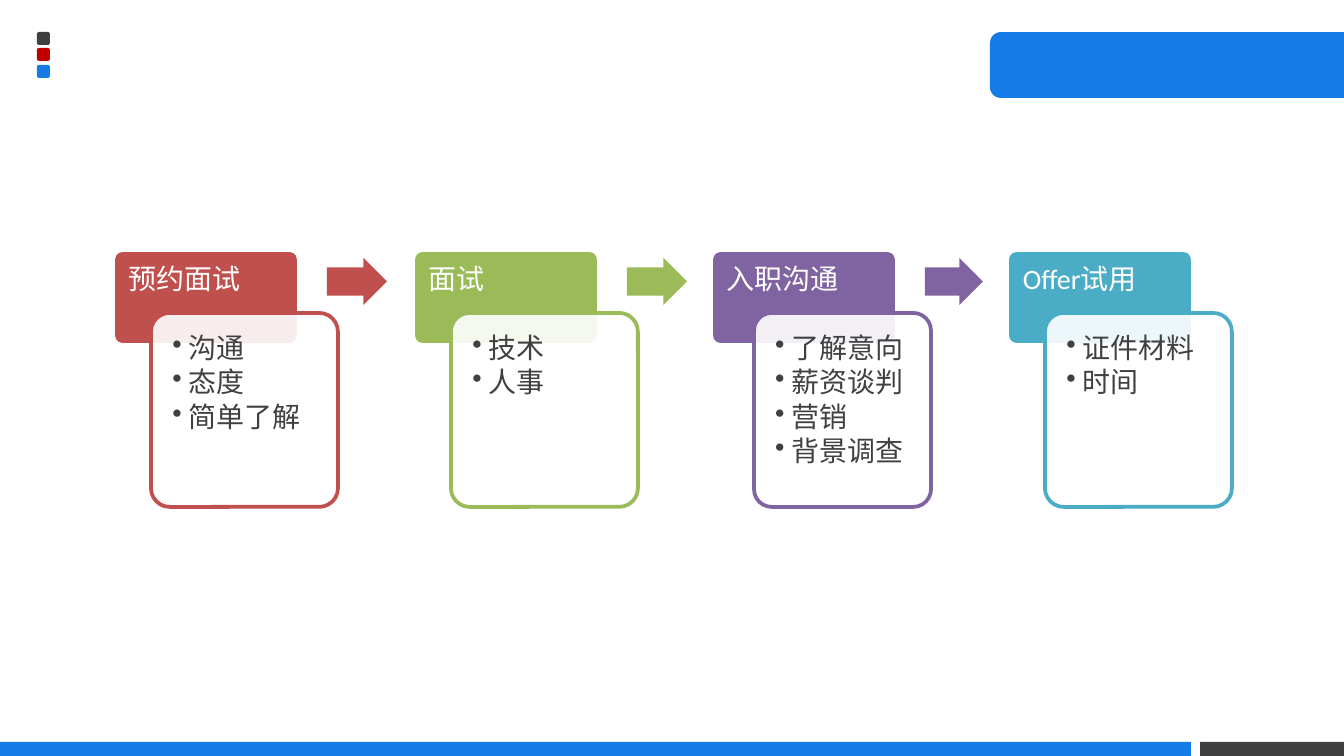
"""Build the recruiting process slide with four linked steps."""
import pptx
import pptx.dml.color
import pptx.enum.shapes
import pptx.enum.text
import pptx.oxml
import pptx.oxml.ns
import pptx.util

EMU_PER_PX = 914400 / 134.4
SHAPE = pptx.enum.shapes.MSO_SHAPE
BLUE, DARK, RED, WHITE = "157CE7", "404040", "C00000", "FFFFFF"
STEPS = [
    (113, 38, 187, 60, "C0504D", "预约面试", ["沟通", "态度", "简单了解"]),
    (413, 38, 187, 60, "9BBB59", "面试", ["技术", "人事"]),
    (711, 43, 177, 58, "8064A2", "入职沟通", ["了解意向", "薪资谈判", "营销", "背景调查"]),
    (1007, 38, 187, 0, "4BACC6", "Offer试用", ["证件材料", "时间"]),
]


def px(length):
    return pptx.util.Emu(round(length * EMU_PER_PX))


def paint(color_format, color):
    color_format.rgb = pptx.dml.color.RGBColor.from_string(color)


def add_block(slide, kind, box, fill, line=None, adjustments=()):
    block = slide.shapes.add_shape(kind, *map(px, box))
    block.shadow.inherit = False
    for index, value in enumerate(adjustments):
        block.adjustments[index] = value
    block.fill.solid()
    paint(block.fill.fore_color, fill)
    if line:
        paint(block.line.color, line)
        block.line.width = pptx.util.Pt(2)
    else:
        block.line.fill.background()
    return block


def write(block, lines, insets, color, space_after, bulleted=False):
    frame = block.text_frame
    frame.word_wrap = True
    frame.vertical_anchor = pptx.enum.text.MSO_ANCHOR.TOP
    frame.margin_left, frame.margin_top, frame.margin_right, frame.margin_bottom = map(px, insets)
    for index, line in enumerate(lines):
        paragraph = frame.paragraphs[0] if index == 0 else frame.add_paragraph()
        paragraph.text = line
        paragraph.alignment = pptx.enum.text.PP_ALIGN.LEFT
        paragraph.line_spacing = 0.9
        paragraph.space_after = pptx.util.Pt(space_after)
        if bulleted:
            add_bullet(paragraph)
        paragraph.font.name = "Calibri"
        paragraph.font.size = pptx.util.Pt(15)
        paint(paragraph.font.color, color)


def add_bullet(paragraph):
    paragraph.level = 1
    properties = paragraph._p.get_or_add_pPr()
    properties.set("marL", str(px(16)))
    properties.set("indent", str(-px(16)))
    bullet = pptx.oxml.parse_xml(f'<a:buChar {pptx.oxml.ns.nsdecls("a")} char="•"/>')
    properties.append(bullet)


def set_opacity(block, percent):
    color = block.fill._xPr.find(".//" + pptx.oxml.ns.qn("a:srgbClr"))
    alpha = pptx.oxml.parse_xml(f'<a:alpha {pptx.oxml.ns.nsdecls("a")} val="{percent * 1000}"/>')
    color.append(alpha)


def add_decoration(slide):
    tab = add_block(slide, SHAPE.ROUND_2_SAME_RECTANGLE, (1134, -112, 66, 354), BLUE)
    tab.rotation = 270
    for top, color in ((32, DARK), (48, RED), (65, BLUE)):
        add_block(slide, SHAPE.ROUNDED_RECTANGLE, (37, top, 13, 13), color, adjustments=[0.17])
    add_block(slide, SHAPE.RECTANGLE, (1200, 742, 144, 14), DARK)
    add_block(slide, SHAPE.RECTANGLE, (0, 742, 1191, 14), BLUE)


def add_step(slide, left, card_offset, card_width, arrow_width, color, heading, items):
    header = add_block(slide, SHAPE.ROUNDED_RECTANGLE, (left, 250, 186, 95), color, WHITE, [0.1])
    write(header, [heading], (13, 13, 13, 37), WHITE, 5.25)
    card = add_block(slide, SHAPE.ROUNDED_RECTANGLE,
                     (left + card_offset, 313, card_width, 194), WHITE, color, [0.1])
    set_opacity(card, 90)
    write(card, items, (16, 16, 16, 16), DARK, 2.25, bulleted=True)
    if arrow_width:
        add_block(slide, SHAPE.RIGHT_ARROW, (left + 214, 258, arrow_width, 47), color,
                  adjustments=[0.6, 0.5])


def main():
    deck = pptx.Presentation()
    deck.slide_width, deck.slide_height = px(1344), px(756)
    slide = deck.slides.add_slide(deck.slide_layouts[6])
    add_decoration(slide)
    for step in STEPS:
        add_step(slide, *step)
    deck.save("out.pptx")


if __name__ == "__main__":
    main()
